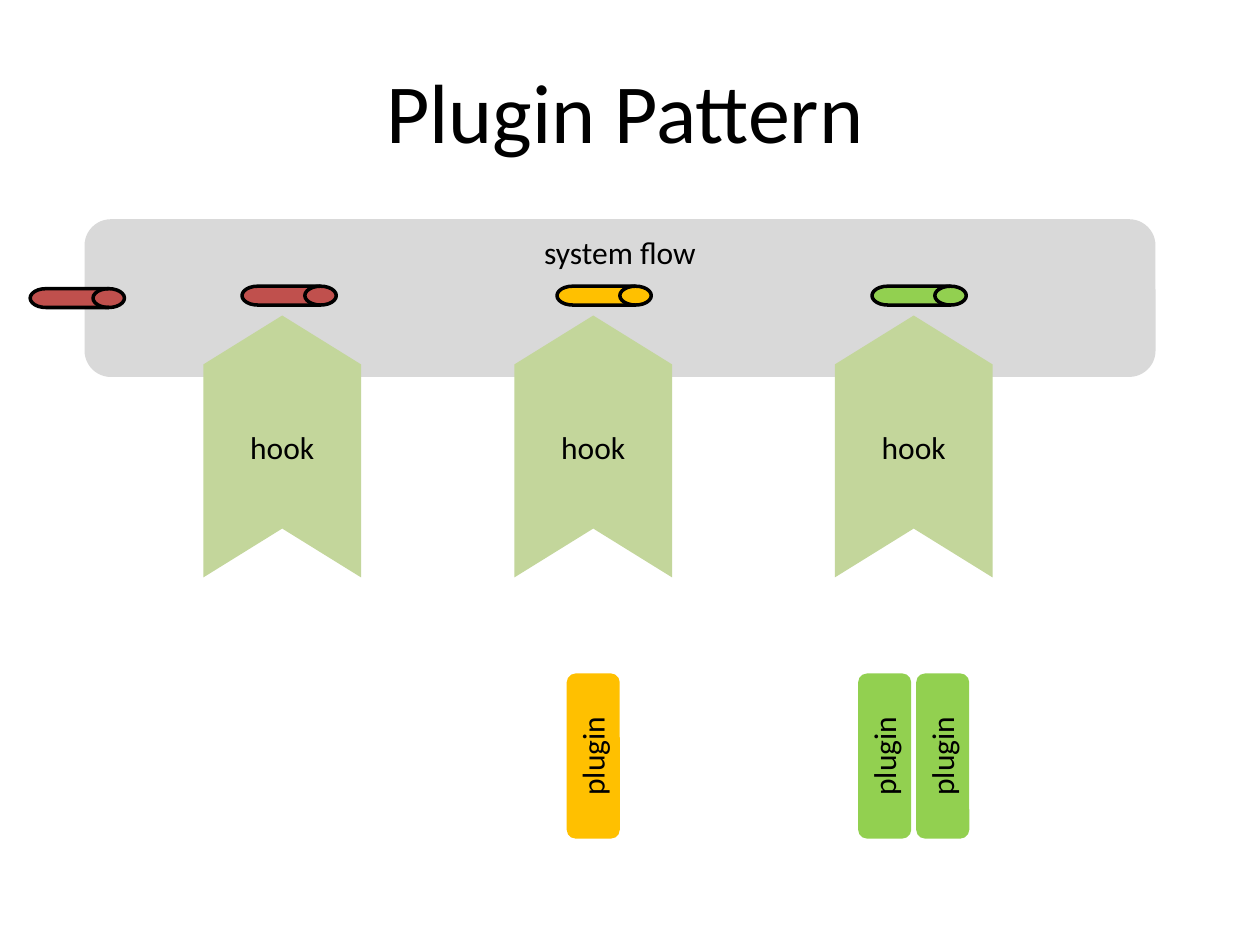
from pptx import Presentation
from pptx.dml.color import RGBColor
from pptx.enum.shapes import MSO_SHAPE
from pptx.enum.text import MSO_ANCHOR, PP_ALIGN
from pptx.util import Cm, Pt

ROUNDED = MSO_SHAPE.ROUNDED_RECTANGLE
CHEVRON = MSO_SHAPE.CHEVRON
DRUM = MSO_SHAPE.FLOWCHART_DIRECT_ACCESS_STORAGE
TOP, MIDDLE, BOTTOM = MSO_ANCHOR.TOP, MSO_ANCHOR.MIDDLE, MSO_ANCHOR.BOTTOM

BLACK, RED, ORANGE, GREEN = "000000", "C0504D", "FFC000", "92D050"
FLOW_GREY, HOOK_GREEN = "D9D9D9", "C3D69B"

TITLE = "Plugin Pattern"
FLOW = "system flow"
HOOKS = [
    {"center": 5.69, "plugins": [], "drum": RED},
    {"center": 11.96, "plugins": ["plugin"], "drum": ORANGE},
    {"center": 18.42, "plugins": ["plugin", "plugin"], "drum": GREEN},
]
HOOK_SIZE, HOOK_Y = (5.28, 3.18), 9.0
PLUGIN_SIZE, PLUGIN_Y, PLUGIN_PITCH = (3.33, 1.07), 15.24, 1.17
DRUM_SIZE, DRUM_Y = (1.9, 0.38), 5.96
FIRST_DRUM, DRUM_PITCH = 5.83, 6.35
ENTERING_DRUM = (1.56, 6.01)


def color(value):
    return RGBColor.from_string(value)


def write(frame, text, size, anchor):
    frame.text = text
    frame.word_wrap = True
    frame.vertical_anchor = anchor
    paragraph = frame.paragraphs[0]
    paragraph.alignment = PP_ALIGN.CENTER
    font = paragraph.runs[0].font
    font.name, font.size = "Calibri", Pt(size)
    font.color.rgb = color(BLACK)


def add_centered(slide, kind, x, y, size, fill, rotation=0):
    width, height = size
    shape = slide.shapes.add_shape(
        kind, Cm(x - width / 2), Cm(y - height / 2), Cm(width), Cm(height))
    shape.rotation = rotation
    shape.shadow.inherit = False
    shape.fill.solid()
    shape.fill.fore_color.rgb = color(fill)
    shape.line.fill.background()
    return shape


def add_drum(slide, x, y, fill):
    drum = add_centered(slide, DRUM, x, y, DRUM_SIZE, fill)
    drum.line.color.rgb = color(BLACK)
    drum.line.width = Pt(2)


def add_hook(slide, center):
    hook = add_centered(slide, CHEVRON, center, HOOK_Y, HOOK_SIZE, HOOK_GREEN, 270)
    hook.adjustments[0] = 0.31
    write(hook.text_frame, "hook", 18, MIDDLE)
    hook.text_frame._txBody.bodyPr.set("vert", "vert")


def add_plugins(slide, center, plugins, fill):
    first = center - PLUGIN_PITCH * (len(plugins) - 1) / 2
    for i, label in enumerate(plugins):
        plugin = add_centered(slide, ROUNDED, first + i * PLUGIN_PITCH, PLUGIN_Y,
                              PLUGIN_SIZE, fill, 270)
        write(plugin.text_frame, label, 18, BOTTOM)


def main():
    deck = Presentation()
    deck.slide_width, deck.slide_height = Cm(25.4), Cm(19.05)
    slide = deck.slides.add_slide(deck.slide_layouts[6])

    title = slide.shapes.add_textbox(Cm(1.27), Cm(1.07), Cm(22.66), Cm(2.31))
    write(title.text_frame, TITLE, 48, TOP)
    flow = add_centered(slide, ROUNDED, 12.5, 6.01, (21.59, 3.18), FLOW_GREY)
    write(flow.text_frame, FLOW, 18, TOP)

    add_drum(slide, *ENTERING_DRUM, RED)
    for i, hook in enumerate(HOOKS):
        add_plugins(slide, hook["center"], hook["plugins"], hook["drum"])
        add_hook(slide, hook["center"])
        add_drum(slide, FIRST_DRUM + i * DRUM_PITCH, DRUM_Y, hook["drum"])

    deck.save("out.pptx")


if __name__ == "__main__":
    main()
